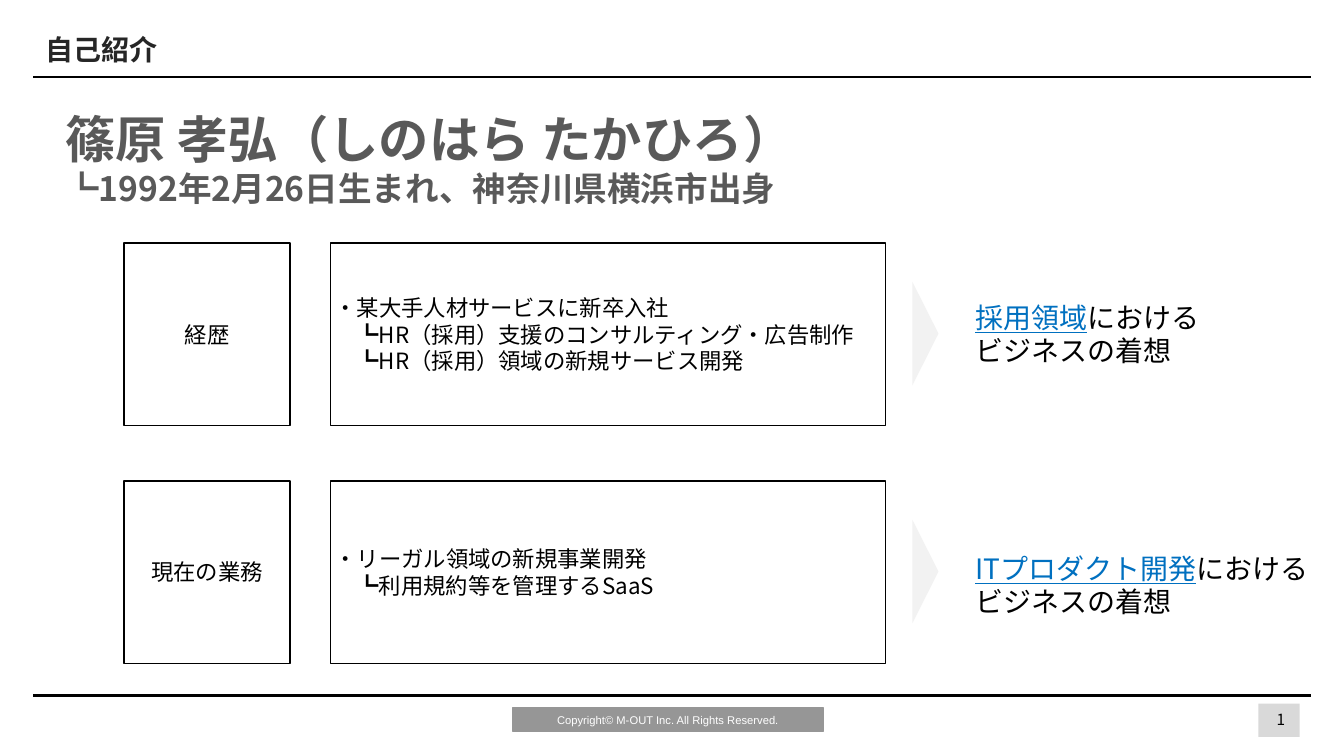
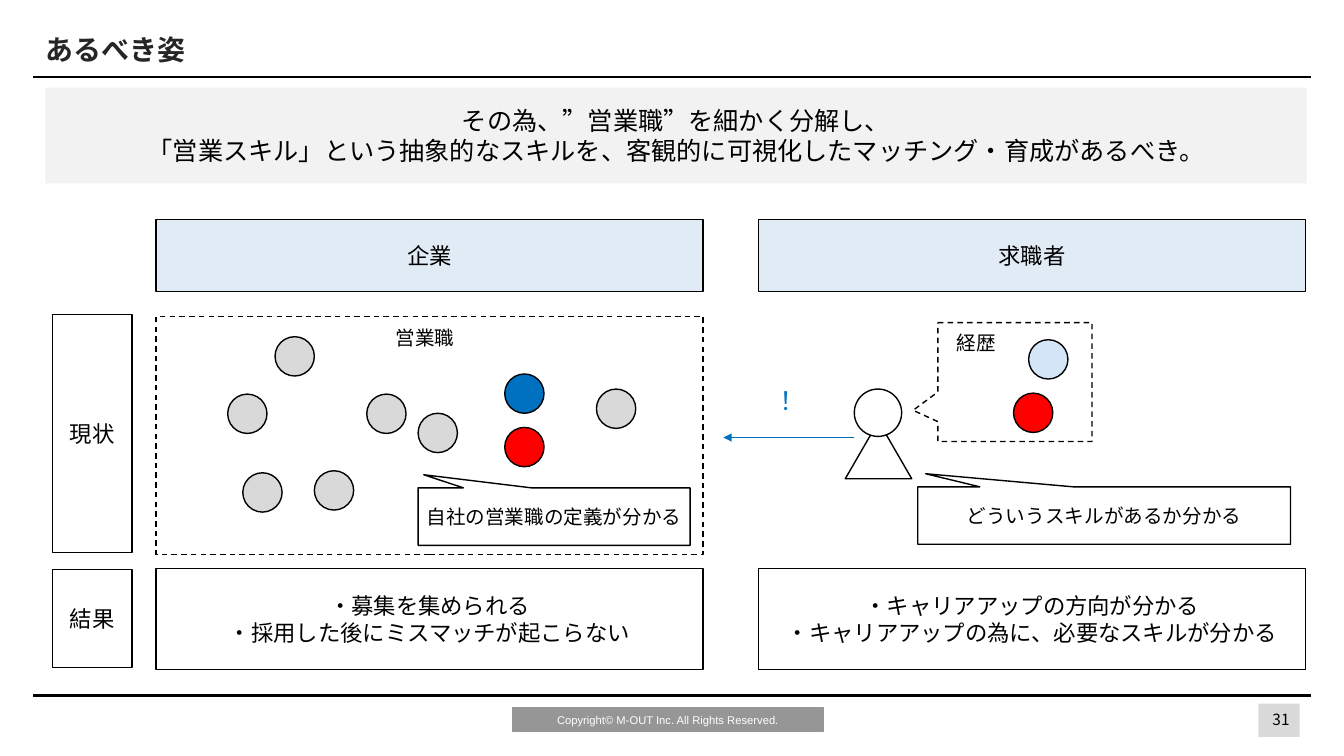
from dataclasses import dataclass

from lxml import etree
from pptx import Presentation, util as u
from pptx.dml.color import RGBColor
from pptx.enum import dml, shapes, text
from pptx.oxml.ns import qn


@dataclass(frozen=True)
class Theme:
    face: str = "Noto Sans CJK JP"
    latin: str = "Arial"
    ink: str = "000000"
    head: str = "262626"
    soft: str = "595959"
    white: str = "FFFFFF"
    pale: str = "F2F2F2"
    grey: str = "D9D9D9"
    band: str = "969696"
    sky: str = "E0EBF6"
    ice: str = "D4E5F7"
    blue: str = "0070C0"
    red: str = "FF0000"
    tiny: int = 8
    num: int = 11
    note: int = 14
    base: int = 16
    lead: int = 18
    title: int = 20
    sub: int = 24
    name: int = 36


T = Theme()
KIND = shapes.MSO_SHAPE
LEFT, MID = text.PP_ALIGN.LEFT, text.PP_ALIGN.CENTER


def write(shape, lines, size=T.base, color=T.ink, bold=False, align=MID,
          inset=None, step=0, face=T.face):
    """Fill a shape with lines, each a string or a list of (text, changes) runs.

    step is the indent in inches of every line after the first.
    """
    frame = shape.text_frame
    frame.word_wrap = True
    if inset is not None:
        frame.margin_left = frame.margin_right = u.Inches(inset)
        frame.margin_top = frame.margin_bottom = u.Inches(inset)
    for i, line in enumerate(lines):
        para = frame.add_paragraph() if i else frame.paragraphs[0]
        para.alignment = align
        if i and step:
            para._p.get_or_add_pPr().set("marL", str(u.Inches(step)))
        for words, diff in [(line, {})] if isinstance(line, str) else line:
            run = para.add_run()
            run.text = words
            font = run.font
            font.size = u.Pt(diff.get("size", size))
            font.bold = bold
            font.underline = diff.get("under", False)
            font.color.rgb = RGBColor.from_string(diff.get("color", color))
            font.name = face
            east = etree.SubElement(run._r.get_or_add_rPr(), qn("a:ea"))
            east.set("typeface", face)


def put(page, kind, box, fill=None, line=None, dash=False):
    """Add a preset shape, a straight line ("line") or a text box (None)."""
    a, b, c, d = map(u.Inches, box)
    if kind is None:
        return page.shapes.add_textbox(a, b, c, d)
    if kind == "line":
        item = page.shapes.add_connector(shapes.MSO_CONNECTOR.STRAIGHT, a, b, c, d)
        etree.SubElement(item._element.spPr, qn("a:effectLst"))
    else:
        item = page.shapes.add_shape(kind, a, b, c, d)
        item.shadow.inherit = False
        if fill:
            item.fill.solid()
            item.fill.fore_color.rgb = RGBColor.from_string(fill)
        else:
            item.fill.background()
    if line:
        item.line.color.rgb = RGBColor.from_string(line)
        item.line.width = u.Pt(1)
        if dash:
            item.line.dash_style = dml.MSO_LINE.DASH
    else:
        item.line.fill.background()
    return item


deck = Presentation()
deck.slide_width, deck.slide_height = u.Inches(13.34), u.Inches(7.5)

# Shared layout: title place, rules and footer
base = deck.slide_layouts[5]
for spot in list(base.placeholders):
    if spot.placeholder_format.type == shapes.PP_PLACEHOLDER.TITLE:
        spot.left, spot.top = u.Inches(0.35), u.Inches(0.21)
        spot.width, spot.height = u.Inches(10), u.Inches(0.55)
    else:
        spot.element.getparent().remove(spot.element)

intro, goal = [deck.slides.add_slide(base) for _ in range(2)]

badge = put(intro, KIND.RECTANGLE, (12.49, 6.98, 0.41, 0.33), T.grey)
foot = put(intro, KIND.RECTANGLE, (5.09, 7.02, 3.08, 0.24), T.band, T.band)
write(foot, ["Copyright© M-OUT Inc. All Rights Reserved."], T.tiny, T.white,
      face=T.latin)
rules = [put(intro, "line", (0.33, y, 13.01, y), line=T.ink) for y in (0.76, 6.9)]
for rule in rules:
    rule.line.width = u.Pt(1.5)
for i, item in enumerate([badge, foot, *rules]):
    next(item.element.iter(qn("p:cNvPr"))).set("id", str(100 + i))
    base.shapes.element.append(item.element)

for page, head, num in [(intro, "自己紹介", "1"), (goal, "あるべき姿", "31")]:
    write(page.shapes.title, [head], T.title, T.head, bold=True, align=LEFT)
    page.shapes.title.text_frame.vertical_anchor = text.MSO_ANCHOR.MIDDLE
    write(put(page, None, (12.56, 7, 0.31, 0.25)), [num], T.num, inset=0.04)

# Slide 1: profile
write(put(intro, None, (0.55, 1.02, 8.9, 1.1)),
      ["篠原 孝弘（しのはら たかひろ）",
       [("┗1992年2月26日生まれ、神奈川県横浜市出身", {"size": T.sub})]],
      T.name, T.soft, bold=True, align=LEFT)

rows = [
    ("経歴",
     ["・某大手人材サービスに新卒入社",
      "┗HR（採用）支援のコンサルティング・広告制作",
      "┗HR（採用）領域の新規サービス開発"],
     "採用領域", 2.93),
    ("現在の業務",
     ["・リーガル領域の新規事業開発", "┗利用規約等を管理するSaaS"],
     "ITプロダクト開発", 5.42),
]
for i, (label, facts, field, y) in enumerate(rows):
    top = 2.41 + 2.36 * i
    card = put(intro, KIND.RECTANGLE, (1.23, top, 1.65, 1.81), T.white, T.ink)
    write(card, [label], inset=0.04)
    card = put(intro, KIND.RECTANGLE, (3.28, top, 5.51, 1.81), T.white, T.ink)
    write(card, facts, align=LEFT, inset=0.04, step=0.22)
    tip = put(intro, KIND.ISOSCELES_TRIANGLE, (8.67, top + 0.77, 1.03, 0.26), T.pale)
    tip.rotation = 90
    write(put(intro, None, (9.58, y, 3.6, 0.77)),
          [[(field, {"color": T.blue, "under": True}), ("における", {})],
           "ビジネスの着想"],
          T.title, align=LEFT)

# Slide 2: message, column heads and results
lead = put(goal, KIND.RECTANGLE, (0.45, 0.87, 12.52, 0.95), T.pale)
write(lead, ["その為、”営業職”を細かく分解し、",
             "「営業スキル」という抽象的なスキルを、客観的に可視化したマッチング・育成があるべき。"],
      T.lead)

cols = [
    (1.55, "企業", ["・募集を集められる", "・採用した後にミスマッチが起こらない"]),
    (7.53, "求職者", ["・キャリアアップの方向が分かる",
                   "・キャリアアップの為に、必要なスキルが分かる"]),
]
for x, head, gains in cols:
    for y, high, fill, lines in [(2.18, 0.71, T.sky, [head]),
                                 (5.64, 1, T.white, gains)]:
        cell = put(goal, KIND.RECTANGLE, (x, y, 5.43, high), fill, T.ink)
        write(cell, lines, inset=0.04)
for y, high, label in [(3.12, 2.36, "現状"), (5.65, 0.97, "結果")]:
    side = put(goal, KIND.RECTANGLE, (0.52, y, 0.79, high), T.white, T.ink)
    write(side, [label], inset=0.04)

# Slide 2: current state
put(goal, KIND.RECTANGLE, (1.55, 3.14, 5.43, 2.36), None, T.ink, dash=True)
past = put(goal, KIND.RECTANGULAR_CALLOUT, (9.31, 3.2, 1.53, 1.18),
           T.white, T.ink, dash=True)
past.adjustments[0], past.adjustments[1] = -0.661, 0.238

dots = [
    (2.26, 3.91, T.grey), (3.64, 3.91, T.grey), (3.12, 4.67, T.grey),
    (5.01, 3.71, T.blue), (5.01, 4.24, T.red), (5.92, 3.86, T.grey),
    (2.73, 3.34, T.grey), (2.41, 4.69, T.grey), (4.15, 4.1, T.grey),
    (10.21, 3.37, T.ice), (10.06, 3.9, T.red),
]
for x, y, fill in dots:
    put(goal, KIND.OVAL, (x, y, 0.39, 0.39), fill, T.ink)

put(goal, KIND.ISOSCELES_TRIANGLE, (8.39, 4.18, 0.66, 0.57), T.white, T.ink)
put(goal, KIND.OVAL, (8.48, 3.86, 0.47, 0.47), T.white, T.ink)
arrow = put(goal, "line", (8.48, 4.34, 7.18, 4.34), line=T.blue)
etree.SubElement(arrow.line._get_or_add_ln(), qn("a:tailEnd")).set("type", "triangle")

for x, y, wide, words in [(4.15, 4.84, 2.7, "自社の営業職の定義が分かる"),
                          (9.11, 4.83, 3.7, "どういうスキルがあるか分かる")]:
    talk = put(goal, KIND.RECTANGULAR_CALLOUT, (x, y, wide, 0.57), T.white, T.ink)
    talk.adjustments[0], talk.adjustments[1] = -0.479, -0.728
    write(talk, [words], T.note, inset=0.04)

for x, y, words in [(3.83, 3.18, "営業職"), (9.4, 3.23, "経歴")]:
    write(put(goal, None, (x, y, 0.94, 0.34)), [words], T.note, align=LEFT)
write(put(goal, None, (6.92, 3.77, 1.76, 0.4)), ["！"], T.lead, T.blue)

deck.save("out.pptx")
